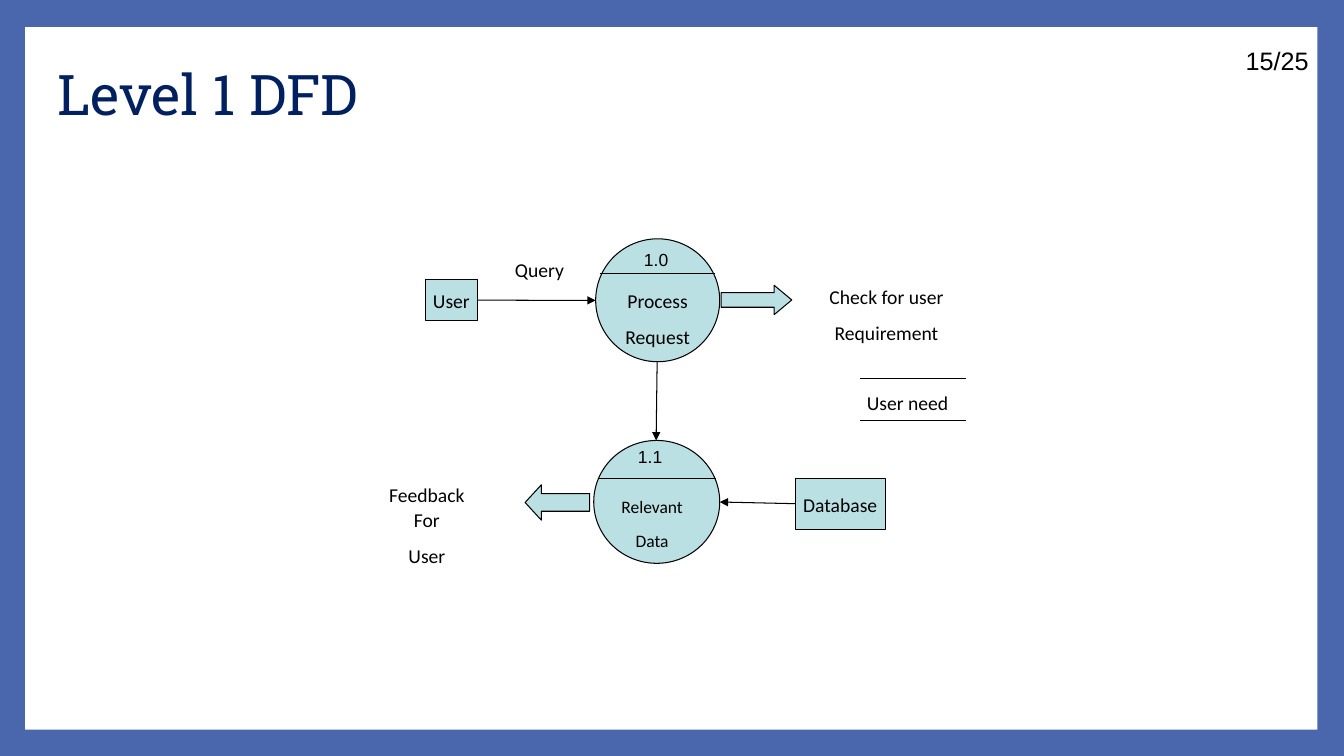
import pptx
import pptx.util
import pptx.dml.color
import pptx.enum.shapes
import pptx.enum.text
import pptx.oxml.ns
import lxml.etree

Pt = pptx.util.Pt
SHAPE = pptx.enum.shapes.MSO_SHAPE
ALIGN = pptx.enum.text.PP_ALIGN
ANCHOR = pptx.enum.text.MSO_ANCHOR
COLORS = {
    "border": "4A66AC",
    "page": "FFFFFF",
    "title": "002060",
    "node": "BBE0E3",
    "ink": "000000",
}
DIAGRAM_INSETS = (5, 2.9, 5, 2.9)
HEADING_INSETS = (7.2, 3.6, 7.2, 3.6)


def rgb(name):
    return pptx.dml.color.RGBColor.from_string(COLORS[name])


def write(frame, lines, size, font="Calibri", color="ink", align=ALIGN.CENTER,
          insets=DIAGRAM_INSETS, spacing=1.07, after=8, wrap=True):
    frame.word_wrap = wrap
    frame.margin_left, frame.margin_top, frame.margin_right, frame.margin_bottom = map(Pt, insets)
    frame.text = "\n".join(lines)
    for paragraph in frame.paragraphs:
        paragraph.alignment = align
        paragraph.line_spacing = spacing
        paragraph.space_after = Pt(after)
        for run in paragraph.runs:
            run.font.size = Pt(size)
            run.font.name = font
            run.font.color.rgb = rgb(color)


def add_label(slide, box, lines, size=14, **style):
    label = slide.shapes.add_textbox(*map(Pt, box))
    write(label.text_frame, lines, size, **style)


def add_heading(slide, box, text, size, font, color):
    add_label(slide, box, [text], size, font=font, color=color, align=ALIGN.LEFT,
              insets=HEADING_INSETS, spacing=1.0, after=0)


def add_block(slide, kind, box, fill="node", outlined=True):
    block = slide.shapes.add_shape(kind, *map(Pt, box))
    block.shadow.inherit = False
    block.fill.solid()
    block.fill.fore_color.rgb = rgb(fill)
    if outlined:
        block.line.color.rgb = rgb("ink")
        block.line.width = Pt(0.75)
    else:
        block.line.fill.background()
    return block


def add_entity(slide, box, name):
    entity = add_block(slide, SHAPE.FLOWCHART_PROCESS, box)
    entity.text_frame.vertical_anchor = ANCHOR.MIDDLE
    write(entity.text_frame, [name], 14, wrap=False)


def add_block_arrow(slide, kind, box, head):
    arrow = add_block(slide, kind, box)
    arrow.adjustments[0] = 0.5
    arrow.adjustments[1] = head


def add_line(slide, start, end, arrow=False):
    line = slide.shapes.add_connector(
        pptx.enum.shapes.MSO_CONNECTOR.STRAIGHT, *map(Pt, start + end))
    line.line.color.rgb = rgb("ink")
    line.line.width = Pt(0.75)
    if arrow:
        lxml.etree.SubElement(line.line._get_or_add_ln(),
                              pptx.oxml.ns.qn("a:tailEnd"), type="triangle")
    lxml.etree.SubElement(line._element.spPr, pptx.oxml.ns.qn("a:effectLst"))


def add_process(slide, box, divider, number, number_at):
    """Draw a process circle with its number above a dividing line."""
    circle = add_block(slide, SHAPE.FLOWCHART_CONNECTOR, box)
    left, right, y = divider
    add_line(slide, (left, y), (right, y))
    add_label(slide, number_at + (27.4, 28.8), [number], 12.5, font="Arial",
              align=ALIGN.LEFT, wrap=False)
    return circle


def main():
    deck = pptx.Presentation()
    deck.slide_width, deck.slide_height = Pt(960), Pt(540)
    slide = deck.slides.add_slide(deck.slide_layouts[6])
    slide.background.fill.solid()
    slide.background.fill.fore_color.rgb = rgb("border")
    add_block(slide, SHAPE.RECTANGLE, (18, 19.4, 923, 501.8), "page", outlined=False)
    add_heading(slide, (33.8, 38.9, 480, 55.4), "Level 1 DFD", 40, "Roboto Slab", "title")
    add_heading(slide, (882.7, 28.8, 70, 28.8), "15/25", 18, "Arial", "ink")

    request = add_process(slide, (425.5, 170.6, 88.6, 87.8), (428.4, 510.5, 195.1),
                          "1.0", (455, 174.2))
    request.text_frame.vertical_anchor = ANCHOR.MIDDLE
    write(request.text_frame, ["Process", "Request"], 14, insets=(5, 28, 5, 2.9))
    add_process(slide, (424.1, 314.6, 90, 87.8), (427, 511.2, 342),
                "1.1", (450.7, 314.6))
    add_label(slide, (438.5, 350.6, 54.7, 54), ["Relevant", "Data"], 12.5, wrap=False)

    add_entity(slide, (303.8, 199.4, 37.4, 29.5), "User")
    add_entity(slide, (568.1, 342, 64.1, 36), "Database")

    add_line(slide, (341.3, 214.4), (425.5, 214.6), arrow=True)
    add_line(slide, (469.4, 258.5), (468.7, 314.6), arrow=True)
    add_line(slide, (568.1, 359.8), (514.1, 358.6), arrow=True)
    add_block_arrow(slide, SHAPE.RIGHT_ARROW, (515.2, 203.8, 50.4, 20.9), 0.6)
    add_block_arrow(slide, SHAPE.LEFT_ARROW, (375.1, 346.3, 46.1, 25.2), 0.46)

    add_label(slide, (362.9, 180, 54.7, 31.7), ["Query"], align=ALIGN.LEFT)
    add_label(slide, (572.4, 199.4, 121.7, 57.6), ["Check for user", "Requirement"])
    add_label(slide, (262.1, 340.6, 85.7, 57.6), ["Feedback For", "User"], wrap=False)
    add_label(slide, (614.2, 275, 80, 31.7), ["User need"], align=ALIGN.LEFT)
    for store_edge in (270.7, 300.2):
        add_line(slide, (614.2, store_edge), (689.8, store_edge))

    deck.save("out.pptx")


if __name__ == "__main__":
    main()
